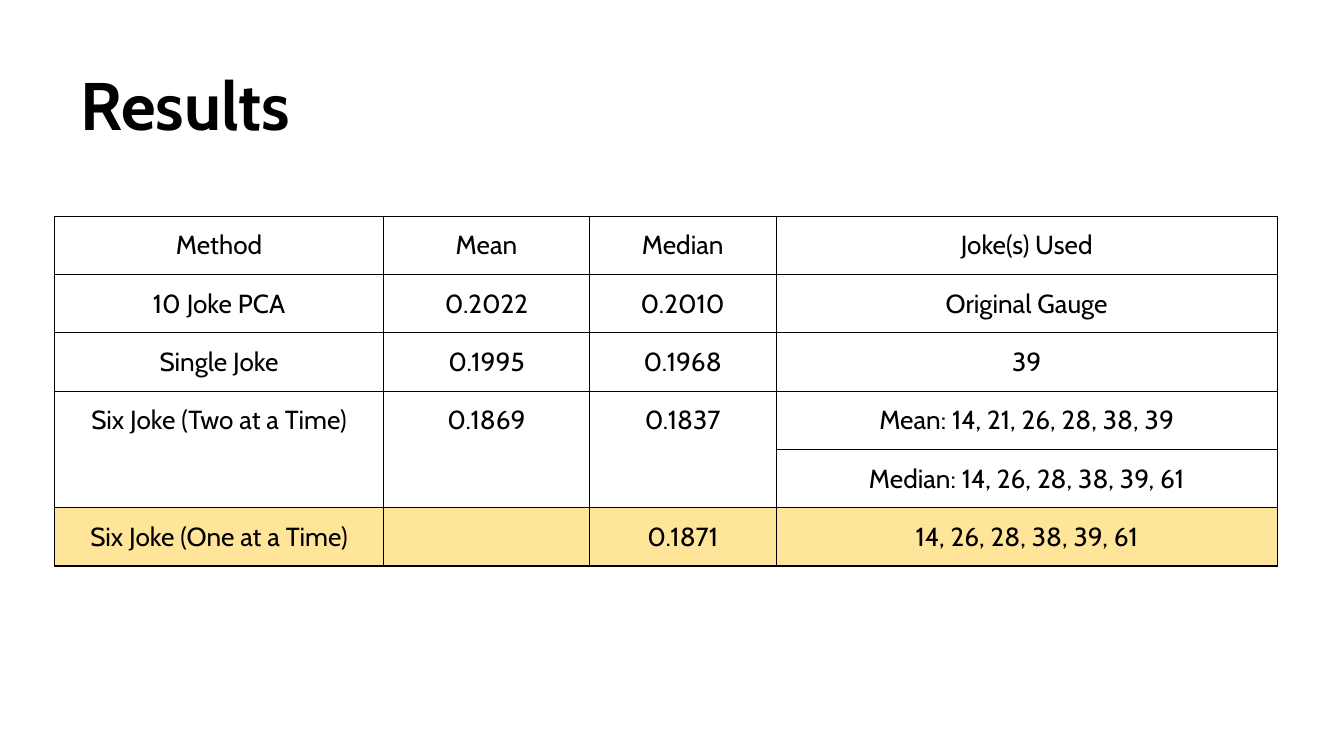
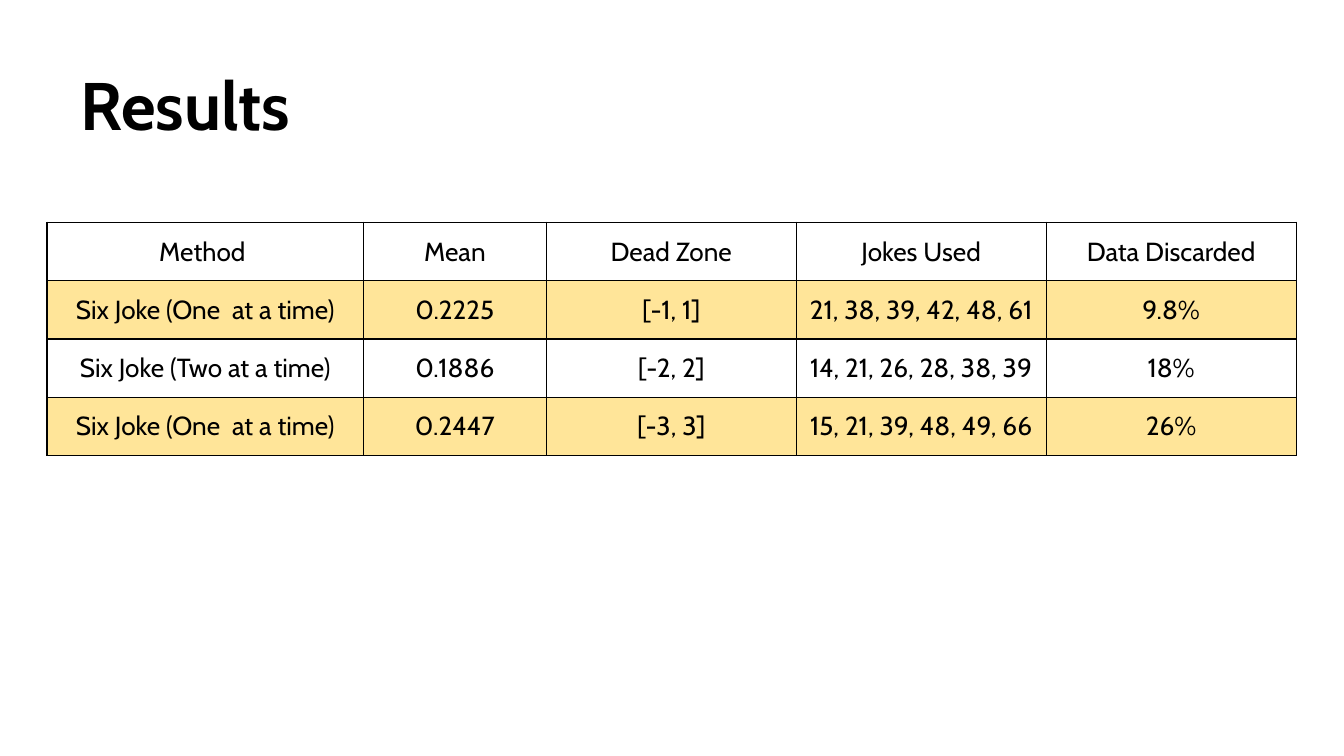
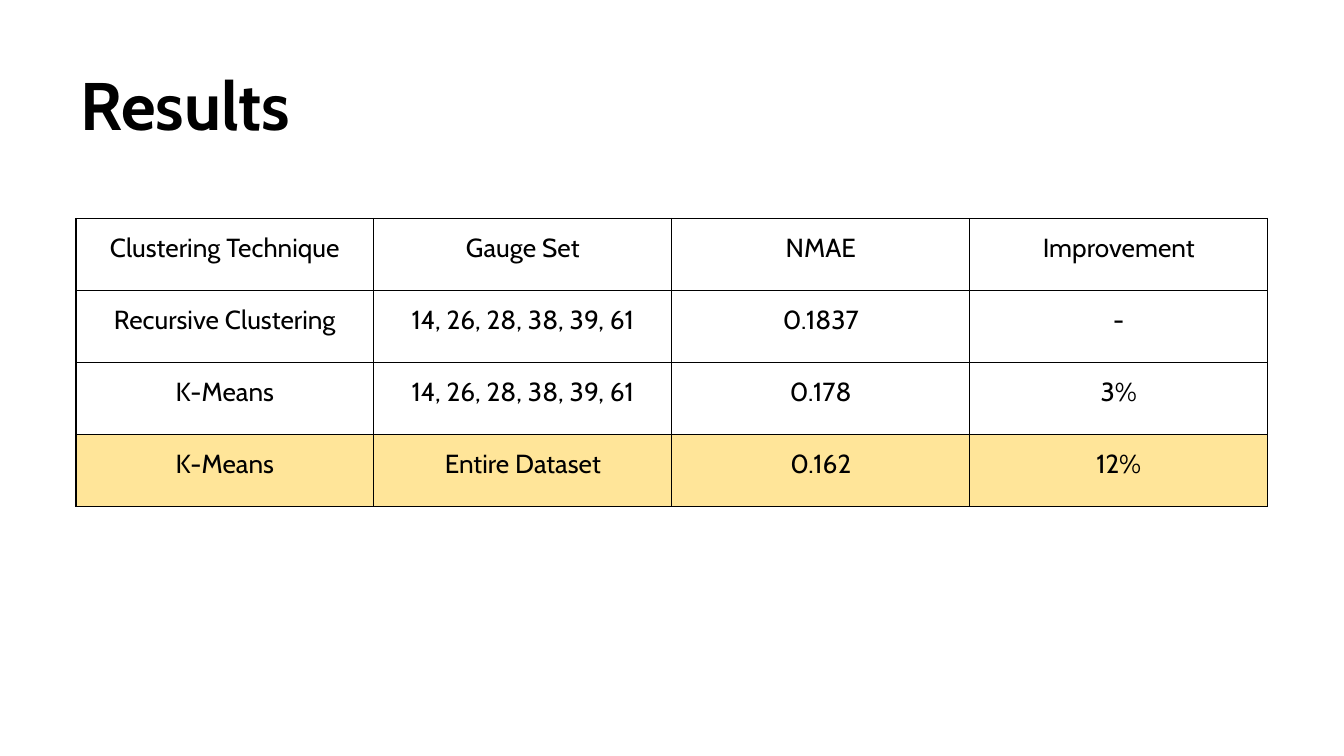
from dataclasses import dataclass

from lxml import etree
from pptx import Presentation
from pptx.dml.color import RGBColor
from pptx.enum import text
from pptx.oxml import ns
from pptx.util import Inches, Pt


@dataclass(frozen=True)
class Theme:
    """Colours, font and sizes that all slides share."""
    ink: str = "000000"
    paper: str = "FFFFFF"
    highlight: str = "FFE599"
    font: str = "Cabin"
    title_size: int = 36
    cell_size: int = 14
    border: float = 0.75


theme = Theme()

deck = Presentation()
deck.slide_width, deck.slide_height = Inches(10), Inches(5.625)


def across(percent):
    """Length as a percentage of the slide's width."""
    return round(deck.slide_width * percent / 100)


def down(percent):
    """Length as a percentage of the slide's height."""
    return round(deck.slide_height * percent / 100)


# Left, top, column widths and row height are percentages of the slide.
# A merge joins a cell (row, column) with the one below it.
results = [
    dict(
        left=4.05, top=28.6, columns=[24.5, 15.3, 13.9, 37.3], row_height=7.5,
        highlighted=[5], merges=[(3, 0), (3, 1), (3, 2)],
        rows=[
            ["Method", "Mean", "Median", "Joke(s) Used"],
            ["10 Joke PCA", "0.2022", "0.2010", "Original Gauge"],
            ["Single Joke", "0.1995", "0.1968", "39"],
            ["Six Joke (Two at a Time)", "0.1869", "0.1837",
             "Mean: 14, 21, 26, 28, 38, 39"],
            ["", "", "", "Median: 14, 26, 28, 38, 39, 61"],
            ["Six Joke (One at a Time)", "", "0.1871", "14, 26, 28, 38, 39, 61"],
        ],
    ),
    dict(
        left=3.5, top=29.4, columns=[23.55, 13.6] + [18.6] * 3, row_height=7.5,
        highlighted=[1, 3], merges=[],
        rows=[
            ["Method ", "Mean", "Dead Zone", "Jokes Used", "Data Discarded"],
            ["Six Joke (One  at a time)", "0.2225", "[-1, 1]",
             "21, 38, 39, 42, 48, 61", "9.8%"],
            ["Six Joke (Two at a time)", "0.1886", "[-2, 2]",
             "14, 21, 26, 28, 38, 39 ", "18%"],
            ["Six Joke (One  at a time)", "0.2447", "[-3, 3]",
             "15, 21, 39, 48, 49, 66", "26%"],
        ],
    ),
    dict(
        left=5.65, top=28.9, columns=[22.17] * 4, row_height=9.52,
        highlighted=[3], merges=[],
        rows=[
            ["Clustering Technique", "Gauge Set", "NMAE", "Improvement"],
            ["Recursive Clustering", "14, 26, 28, 38, 39, 61", "0.1837", "-"],
            ["K-Means", "14, 26, 28, 38, 39, 61", "0.178", "3%"],
            ["K-Means", "Entire Dataset", "0.162", "12%"],
        ],
    ),
]

margin = Inches(0.1)

for result in results:
    slide = deck.slides.add_slide(deck.slide_layouts[6])
    slide.background.fill.solid()
    slide.background.fill.fore_color.rgb = RGBColor.from_string(theme.paper)

    heading = slide.shapes.add_textbox(across(5), down(4.1), across(90), down(16.7)).text_frame
    heading.word_wrap = True
    heading.vertical_anchor = text.MSO_ANCHOR.BOTTOM
    heading.margin_left = heading.margin_right = margin
    heading.margin_top = heading.margin_bottom = margin
    heading.text = "Results"
    heading_font = heading.paragraphs[0].runs[0].font
    heading_font.name, heading_font.size = theme.font, Pt(theme.title_size)
    heading_font.bold = True
    heading_font.color.rgb = RGBColor.from_string(theme.ink)

    rows, columns = result["rows"], result["columns"]
    scores = slide.shapes.add_table(
        len(rows), len(columns), across(result["left"]), down(result["top"]),
        across(sum(columns)), down(result["row_height"] * len(rows))).table
    scores.first_row = scores.horz_banding = False
    for column, width in zip(scores.columns, columns):
        column.width = across(width)

    for row_index, values in enumerate(rows):
        scores.rows[row_index].height = down(result["row_height"])
        shade = theme.highlight if row_index in result["highlighted"] else theme.paper
        for column_index, value in enumerate(values):
            cell = scores.cell(row_index, column_index)
            cell.margin_left = cell.margin_right = margin
            cell.margin_top = cell.margin_bottom = margin

            # Borders have to come before the fill in the cell's properties.
            properties = cell._tc.get_or_add_tcPr()
            for side in ("a:lnL", "a:lnR", "a:lnT", "a:lnB"):
                line = etree.SubElement(properties, ns.qn(side), w=str(Pt(theme.border)))
                ink = etree.SubElement(line, ns.qn("a:solidFill"))
                etree.SubElement(ink, ns.qn("a:srgbClr"), val=theme.ink)
            cell.fill.solid()
            cell.fill.fore_color.rgb = RGBColor.from_string(shade)

            cell.text_frame.text = value
            entry = cell.text_frame.paragraphs[0]
            entry.alignment = text.PP_ALIGN.CENTER
            for run in entry.runs:
                run.font.name, run.font.size = theme.font, Pt(theme.cell_size)
                run.font.color.rgb = RGBColor.from_string(theme.ink)
            if not value:  # keeps an empty cell from stretching its row
                etree.SubElement(entry._p, ns.qn("a:endParaRPr"),
                                 sz=str(theme.cell_size * 100))

    for row_index, column_index in result["merges"]:
        scores.cell(row_index, column_index).merge(
            scores.cell(row_index + 1, column_index))

deck.save("out.pptx")
